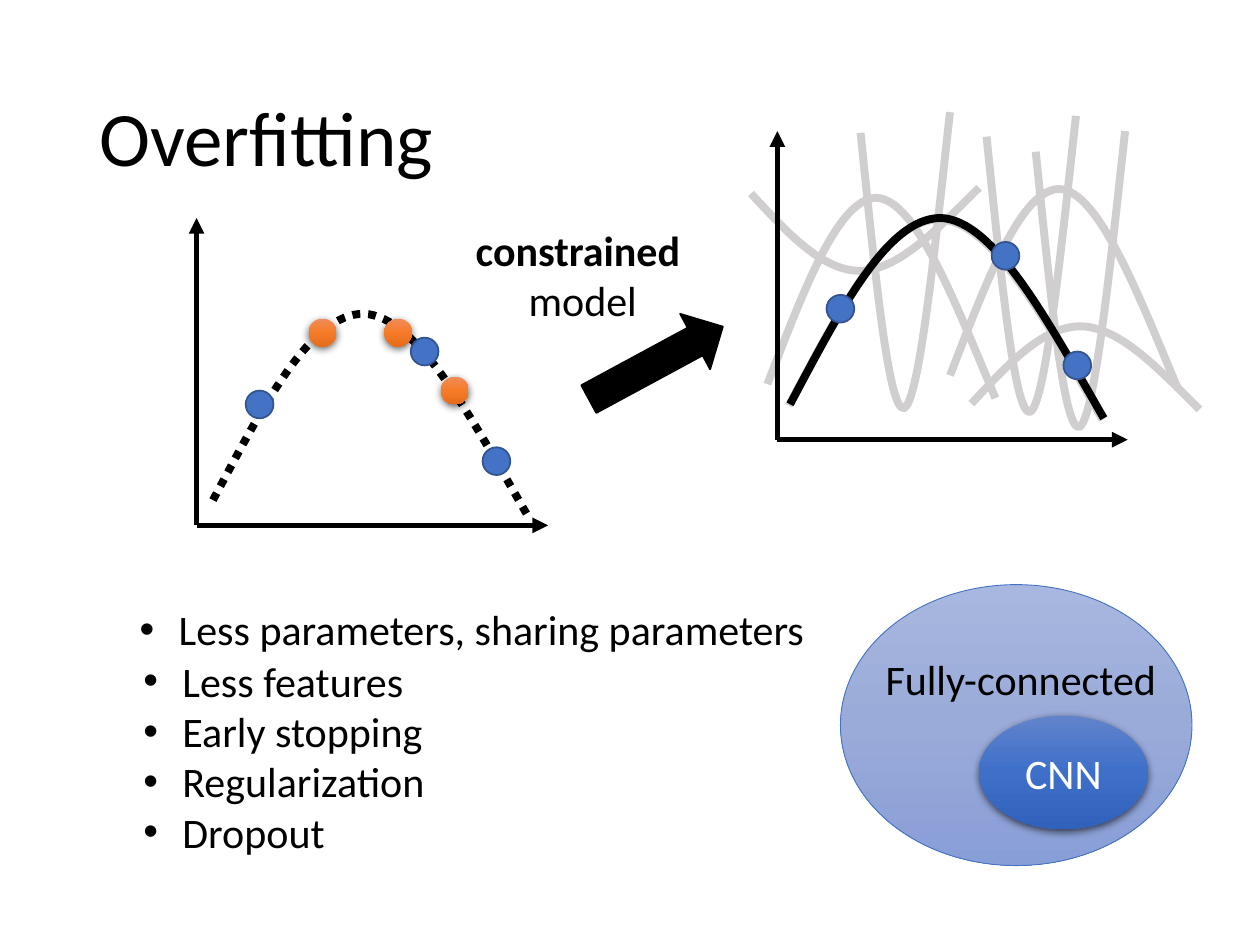
import copy

import pptx
import pptx.dml.color
import pptx.enum.dml
import pptx.enum.shapes
import pptx.enum.text
import pptx.oxml
import pptx.oxml.ns
import pptx.util

COLORS = {
    "ink": "000000", "paper": "FFFFFF", "pale": "D0CECE",
    "blue": "4472C4", "navy": "325491",
}
GRADIENTS = {
    "orange": ("F18C57", "F67B28", "E56C19"),
    "light": ("A8B7DF", "9AABD9", "889ED7"),
    "deep": ("6183CB", "3E70CA", "3062BB"),
}
FONT = "Calibri"
NS = pptx.oxml.ns.nsdecls("a")
SHAPES = pptx.enum.shapes.MSO_SHAPE
ALIGN = pptx.enum.text.PP_ALIGN
ANCHOR = pptx.enum.text.MSO_ANCHOR
ARCH = ((0, 0.93), (0.16, 0.46), (0.31, 0), (0.48, 0), (0.65, 0.01), (0.82, 0.51), (1, 1))
DOT = 2.2

prs = pptx.Presentation()
prs.slide_width = pptx.util.Inches(10)
prs.slide_height = pptx.util.Inches(7.5)
UNIT = prs.slide_width // 100


def grid(*cells):
    return [round(c * UNIT) for c in cells]


def rgb(name):
    return pptx.dml.color.RGBColor.from_string(COLORS[name])


def add_text(tf, lines, size=24, color="ink", bold_lines=0, align=ALIGN.LEFT,
             anchor=ANCHOR.TOP, bullet=False, spacing=None):
    tf.word_wrap = True
    tf.vertical_anchor = anchor
    for i, line in enumerate(lines):
        p = tf.paragraphs[0] if i == 0 else tf.add_paragraph()
        p.alignment = align
        if spacing:
            p.line_spacing = spacing
        if bullet:
            pPr = p._p.get_or_add_pPr()
            indent = pptx.util.Inches(0.31)
            pPr.set("marL", str(indent))
            pPr.set("indent", str(-indent))
            pPr.append(pptx.oxml.parse_xml(f'<a:buFont {NS} typeface="Arial"/>'))
            pPr.append(pptx.oxml.parse_xml(f'<a:buChar {NS} char="•"/>'))
        r = p.add_run()
        r.text = line
        r.font.name = FONT
        r.font.size = pptx.util.Pt(size)
        r.font.bold = i < bold_lines
        r.font.color.rgb = rgb(color)


def add_label(s, box, lines, **fmt):
    tb = s.shapes.add_textbox(*grid(*box))
    add_text(tb.text_frame, lines, **fmt)
    tb.text_frame.auto_size = pptx.enum.text.MSO_AUTO_SIZE.SHAPE_TO_FIT_TEXT


def set_line(shape, color, width):
    shape.line.color.rgb = rgb(color)
    shape.line.width = pptx.util.Pt(width)


def add_solid(s, kind, box, fill, line):
    sp = s.shapes.add_shape(kind, *grid(*box))
    sp.shadow.inherit = False
    sp.fill.solid()
    sp.fill.fore_color.rgb = rgb(fill)
    set_line(sp, line, 1)
    return sp


def add_gradient_oval(s, box, name, shadow=True):
    sp = s.shapes.add_shape(SHAPES.OVAL, *grid(*box))
    sp.shadow.inherit = False
    sp.fill.gradient()
    sp.fill.gradient_angle = 270
    stops = sp.element.spPr.find(".//" + pptx.oxml.ns.qn("a:gsLst"))
    stops.insert(1, copy.deepcopy(stops[0]))
    for i, (stop, color) in enumerate(zip(sp.fill.gradient_stops, GRADIENTS[name])):
        stop.position = i / 2
        stop.color.rgb = pptx.dml.color.RGBColor.from_string(color)
    sp.line.fill.background()
    if shadow:
        effects = sp.element.spPr.find(pptx.oxml.ns.qn("a:effectLst"))
        effects.append(pptx.oxml.parse_xml(
            f'<a:outerShdw {NS} blurRad="57150" dist="19050" dir="5400000" '
            'algn="ctr" rotWithShape="0"><a:srgbClr val="000000">'
            '<a:alpha val="63000"/></a:srgbClr></a:outerShdw>'))
    return sp


def bend_segments(sp):
    path = sp.element.spPr.find(".//" + pptx.oxml.ns.qn("a:path"))
    segments = path.findall(pptx.oxml.ns.qn("a:lnTo"))
    for i in range(0, len(segments), 3):
        bend = pptx.oxml.parse_xml(f"<a:cubicBezTo {NS}/>")
        for segment in segments[i:i + 3]:
            bend.append(segment[0])
            path.remove(segment)
        path.append(bend)


def add_curve(s, box, color="ink", flip=False, dotted=False):
    x, y, w, h = grid(*box)
    points = [(x + px * w, y + (1 - py if flip else py) * h) for px, py in ARCH]
    builder = s.shapes.build_freeform(*points[0])
    builder.add_line_segments(points[1:], close=False)
    sp = builder.convert_to_shape()
    bend_segments(sp)
    sp.shadow.inherit = False
    sp.fill.background()
    set_line(sp, color, 4.5)
    if dotted:
        sp.line.dash_style = pptx.enum.dml.MSO_LINE.ROUND_DOT


def add_arrow(s, *ends):
    line = s.shapes.add_connector(pptx.enum.shapes.MSO_CONNECTOR.STRAIGHT, *grid(*ends))
    set_line(line, "ink", 3)
    spPr = line.element.spPr
    spPr.get_or_add_ln().append(pptx.oxml.parse_xml(f'<a:tailEnd {NS} type="triangle"/>'))
    spPr.append(pptx.oxml.parse_xml(f"<a:effectLst {NS}/>"))


def add_plot(s, box, arch, drop, tests=(), dotted=False):
    x, y, w, h = box
    add_curve(s, (x + arch[0], y + arch[1], 24.9, 15.9), dotted=dotted)
    add_arrow(s, x, y + h, x + w, y + h)
    add_arrow(s, x, y + h, x, y)
    for dx, dy in ((3.9, 13), (17, 8.8), (22.7, 17.5)):
        add_solid(s, SHAPES.OVAL, (x + dx, y + dy + drop, DOT, DOT), "blue", "navy")
    for dx, dy in tests:
        add_gradient_oval(s, (x + dx, y + dy, DOT, DOT), "orange")


def add_candidates(s, x, y):
    arches = ((1.3, 6.8, 18.1, 15.9), (3, 8.5, 24.9, 15.9),
              (15.8, 6.1, 18.1, 15.9), (17.5, 17, 18.1, 6.6))
    valleys = ((0, 6, 18.1, 6.6), (8.7, 0, 7.1, 23.5),
               (18.7, 0.3, 7.1, 23.5), (22.6, 1.5, 7.1, 23.5))
    for group, flip in ((arches, False), (valleys, True)):
        for dx, dy, w, h in group:
            add_curve(s, (x + dx, y + dy, w, h), "pale", flip)


def add_transition(s, x, y):
    add_label(s, (x, y, 26.1, 9.1), ["constrained ", "model"],
              bold_lines=1, align=ALIGN.CENTER)
    arrow = add_solid(s, SHAPES.RIGHT_ARROW, (x + 12.8, y + 9, 12.1, 5), "ink", "ink")
    arrow.rotation = 331.6


def add_remedies(s, x, y):
    add_label(s, (x + 0.3, y + 4.1, 35.6, 17.2),
              ["Less features", "Early stopping", "Regularization", "Dropout"], bullet=True)
    add_label(s, (x, y, 59.1, 5), ["Less parameters, sharing parameters"], bullet=True)


def add_model_sets(s, x, y):
    outer = add_gradient_oval(s, (x, y, 27.9, 22.3), "light", shadow=False)
    set_line(outer, "blue", 0.5)
    inner = add_gradient_oval(s, (x + 11, y + 10.4, 13.4, 9), "deep")
    add_text(inner.text_frame, ["CNN"], color="paper", align=ALIGN.CENTER,
             anchor=ANCHOR.MIDDLE)
    add_label(s, (x + 2.6, y + 5, 25.5, 5), ["Fully-connected"])


def add_title(s, box, text):
    title = s.shapes.title
    title.left, title.top, title.width, title.height = grid(*box)
    add_text(title.text_frame, [text], size=44, anchor=ANCHOR.MIDDLE, spacing=0.9)


def main():
    s = prs.slides.add_slide(prs.slide_layouts[5])
    add_title(s, (6.9, 4, 86.2, 14.5), "Overfitting")
    add_plot(s, (15.6, 17.3, 27.9, 24.4), (1.3, 7.6), 0.7,
             tests=((19.4, 12.6), (14.9, 8), (8.9, 8)), dotted=True)
    add_remedies(s, 10.1, 47.4)
    add_model_sets(s, 66.7, 46.4)
    add_candidates(s, 59.6, 8.9)
    add_plot(s, (61.7, 10.4, 27.8, 24.5), (1, 6.9), 0)
    add_transition(s, 33.2, 17.3)
    prs.save("out.pptx")


if __name__ == "__main__":
    main()
